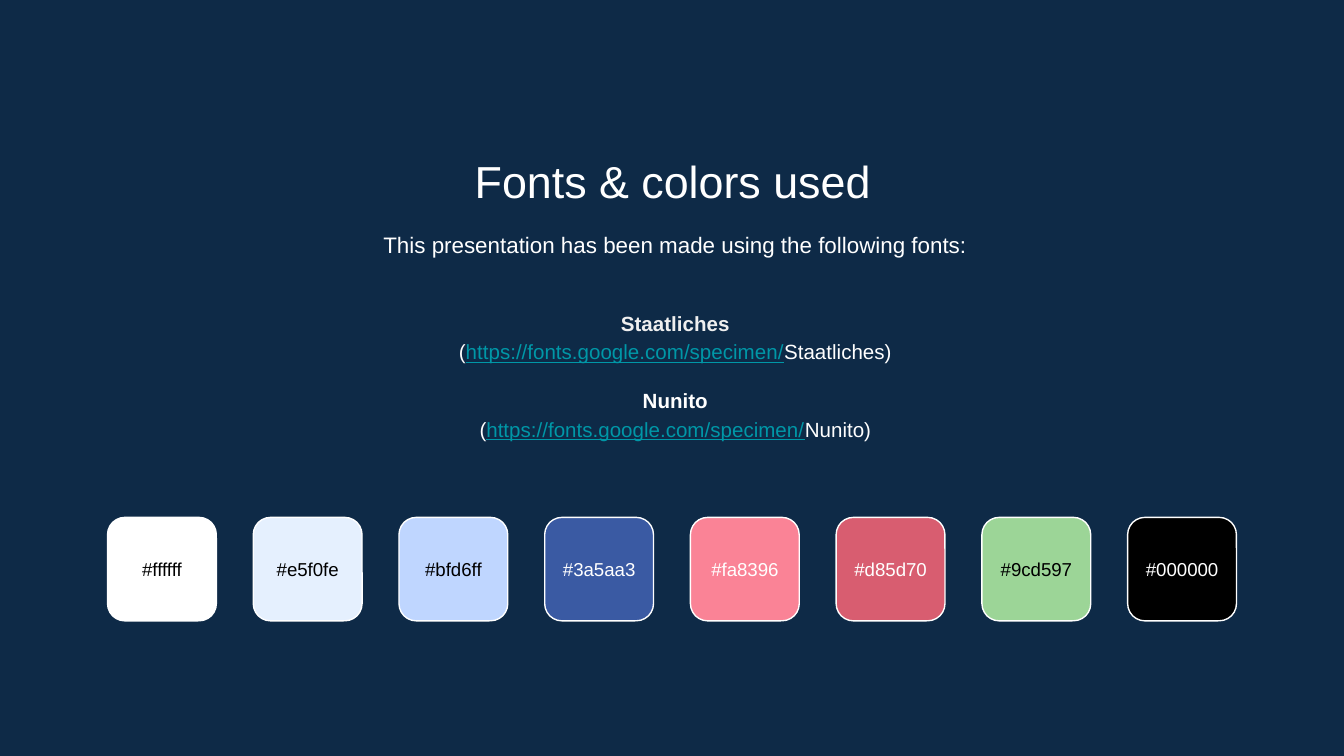
from pptx import Presentation
from pptx.dml.color import RGBColor
from pptx.enum.shapes import MSO_SHAPE
from pptx.enum.text import MSO_ANCHOR, MSO_AUTO_SIZE, PP_ALIGN
from pptx.oxml.ns import qn
from pptx.util import Inches, Pt

ROUNDED = MSO_SHAPE.ROUNDED_RECTANGLE
TOP = MSO_ANCHOR.TOP
MIDDLE = MSO_ANCHOR.MIDDLE
NO_FIT = MSO_AUTO_SIZE.NONE
CENTER = PP_ALIGN.CENTER

NAVY = RGBColor(0x0E, 0x2A, 0x47)
WHITE = RGBColor(0xFF, 0xFF, 0xFF)
BLACK = RGBColor(0x00, 0x00, 0x00)
LIGHT_GRAY = RGBColor(0xEF, 0xEF, 0xEF)
TEAL = RGBColor(0x00, 0x97, 0xA7)

FONT = "Arial"
FONT_ADDRESS = "https://fonts.google.com/specimen/"
FONT_NAMES = [("Staatliches", LIGHT_GRAY), ("Nunito", WHITE)]
FONT_GAP = 11
SWATCHES = [
    ("#ffffff", BLACK),
    ("#e5f0fe", BLACK),
    ("#bfd6ff", BLACK),
    ("#3a5aa3", WHITE),
    ("#fa8396", WHITE),
    ("#d85d70", WHITE),
    ("#9cd597", BLACK),
    ("#000000", WHITE),
]
SWATCH_LEFT, SWATCH_RIGHT, SWATCH_TOP = 0.8, 9.2, 3.85
SWATCH_WIDTH, SWATCH_HEIGHT = 0.81, 0.77
LABEL_TOP, LABEL_HEIGHT = 4.01, 0.45


def format_frame(frame, anchor):
    frame.word_wrap = True
    frame.auto_size = NO_FIT
    frame.vertical_anchor = anchor
    frame.margin_left = frame.margin_right = Inches(0.1)
    frame.margin_top = frame.margin_bottom = Inches(0.1)


def place_placeholder(box, left, top, width, height, anchor):
    box.left, box.top = Inches(left), Inches(top)
    box.width, box.height = Inches(width), Inches(height)
    format_frame(box.text_frame, anchor)
    return box.text_frame


def format_para(para, size, color=WHITE, bold=False):
    para.alignment = CENTER
    para.font.name = FONT
    para.font.size = Pt(size)
    para.font.bold = bold
    para.font.color.rgb = color


def format_body_para(para, size, color=WHITE, bold=False, space_before=0):
    properties = para._p.get_or_add_pPr()
    properties.set("marL", "0")
    properties.set("indent", "0")
    properties.append(properties.makeelement(qn("a:buNone"), {}))
    para.line_spacing = 1.15
    para.space_before = Pt(space_before)
    format_para(para, size, color, bold)


def add_span(para, text):
    span = para.add_run()
    span.text = text
    return span


def fill_font_list(frame):
    for index, (name, color) in enumerate(FONT_NAMES):
        heading = frame.add_paragraph() if index else frame.paragraphs[0]
        heading.text = name
        format_body_para(heading, 11, color, True, FONT_GAP if index else 0)

        address = frame.add_paragraph()
        add_span(address, "(")
        link = add_span(address, FONT_ADDRESS)
        link.font.underline = True
        link.font.color.rgb = TEAL
        add_span(address, f"{name})")
        format_body_para(address, 11)


def add_swatch(slide, left, code):
    swatch = slide.shapes.add_shape(
        ROUNDED, Inches(left), Inches(SWATCH_TOP),
        Inches(SWATCH_WIDTH), Inches(SWATCH_HEIGHT))
    swatch.shadow.inherit = False
    swatch.fill.solid()
    swatch.fill.fore_color.rgb = RGBColor.from_string(code[1:].upper())
    swatch.line.color.rgb = WHITE
    swatch.line.width = Pt(0.75)


def add_label(slide, left, code, color):
    box = slide.shapes.add_textbox(
        Inches(left), Inches(LABEL_TOP),
        Inches(SWATCH_WIDTH), Inches(LABEL_HEIGHT))
    format_frame(box.text_frame, MIDDLE)
    box.text_frame.text = code
    format_para(box.text_frame.paragraphs[0], 10, color)


def main():
    deck = Presentation()
    deck.slide_width, deck.slide_height = Inches(10), Inches(10 * 9 / 16)
    slide = deck.slides.add_slide(deck.slide_layouts.get_by_name("Two Content"))
    slide.background.fill.solid()
    slide.background.fill.fore_color.rgb = NAVY
    title, intro, font_list = slide.placeholders

    title_frame = place_placeholder(title, 1.15, 1.04, 7.71, 0.53, TOP)
    title_frame.text = "Fonts & colors used"
    format_para(title_frame.paragraphs[0], 24)

    intro_frame = place_placeholder(intro, 1.17, 1.59, 7.71, 0.48, TOP)
    intro_frame.text = "This presentation has been made using the following fonts:"
    format_body_para(intro_frame.paragraphs[0], 12)

    fill_font_list(place_placeholder(font_list, 1.17, 2.1, 7.71, 1.37, MIDDLE))

    pitch = (SWATCH_RIGHT - SWATCH_WIDTH - SWATCH_LEFT) / (len(SWATCHES) - 1)
    for index, (code, label_color) in enumerate(SWATCHES):
        left = SWATCH_LEFT + index * pitch
        add_swatch(slide, left, code)
        add_label(slide, left, code, label_color)

    deck.save("out.pptx")


if __name__ == "__main__":
    main()
